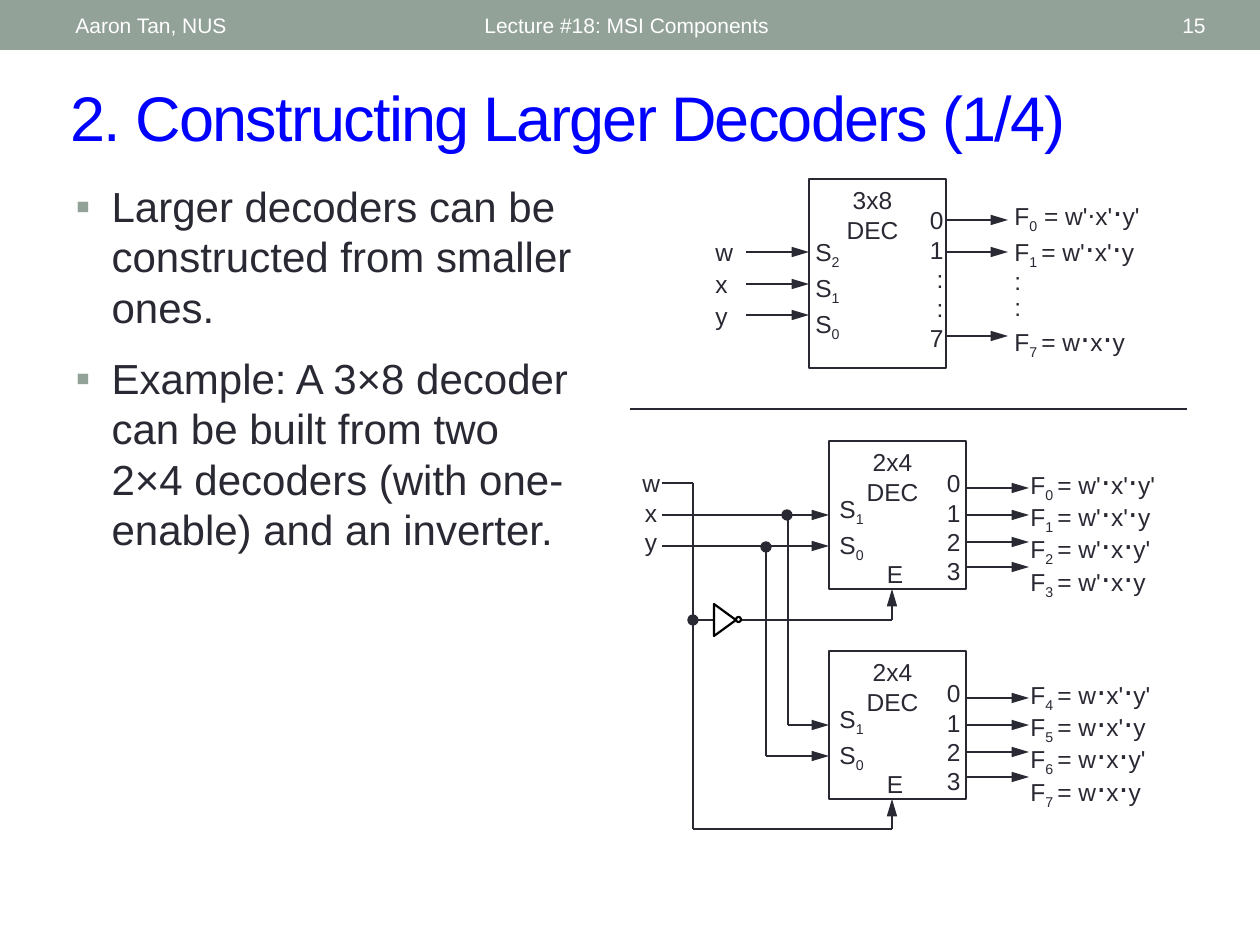
import itertools

import pptx
import pptx.dml.color
import pptx.enum.shapes
import pptx.enum.text
import pptx.oxml
import pptx.oxml.ns
import pptx.util

SCALE = 914400 / 126  # EMU in one px
COLORS = {"ink": "292934", "sage": "93A299", "title": "0000FF", "white": "FFFFFF", "black": "000000"}
NS = pptx.oxml.ns.nsdecls("a")
SHAPE = pptx.enum.shapes.MSO_SHAPE
ALIGN = pptx.enum.text.PP_ALIGN
ANCHOR = pptx.enum.text.MSO_ANCHOR
Pt = pptx.util.Pt


def px(*lengths):
    return [pptx.util.Emu(round(n * SCALE)) for n in lengths]


def rgb(name):
    return pptx.dml.color.RGBColor.from_string(COLORS[name])


def assign(obj, values):
    for name, value in values.items():
        setattr(obj, name, value)


def xml(tag, attrs="", inner=""):
    return pptx.oxml.parse_xml(f"<a:{tag} {NS} {attrs}>{inner}</a:{tag}>")


class Board:
    """Current slide with the drawing style of the lecture."""

    font = "Arial"
    label_size, dot_size, wire_width = 14, 18, 1.25

    def __init__(self, slide):
        self.s = slide

    def run(self, p, text, size, color, **rpr):
        r = p.add_run()
        r.text = text
        assign(r.font, {"name": self.font, "size": Pt(size)})
        r.font.color.rgb = rgb(color)
        for name, value in rpr.items():
            r._r.get_or_add_rPr().set(name, value)

    def rich(self, p, text, size, color):
        """Text between underscores is subscript; * is a large product dot."""
        for i, part in enumerate(text.split("_")):
            if i % 2:
                self.run(p, part, size, color, baseline="-25000")
                continue
            for j, piece in enumerate(part.split("*")):
                if j:
                    self.run(p, "⋅", self.dot_size, color)
                if piece:
                    self.run(p, piece, size, color)

    def text(self, box, lines, size=label_size, color="ink", anchor=ANCHOR.TOP, **para):
        tf = self.s.shapes.add_textbox(*px(*box)).text_frame
        assign(tf, {"word_wrap": True, "vertical_anchor": anchor})
        for i, line in enumerate(lines):
            p = tf.paragraphs[0] if i == 0 else tf.add_paragraph()
            assign(p, para)
            self.rich(p, line, size, color)

    def title(self, box, text):
        sp = self.s.shapes.title
        assign(sp, dict(zip(("left", "top", "width", "height"), px(*box))))
        assign(sp.text_frame, {"vertical_anchor": ANCHOR.MIDDLE, "word_wrap": True,
                               "auto_size": pptx.enum.text.MSO_AUTO_SIZE.NONE})
        p = sp.text_frame.paragraphs[0]
        p.alignment = ALIGN.LEFT
        self.run(p, text, 36, "title", spc="-100")

    def bullets(self, box, items):
        """Fill the body placeholder; items are (text, points before)."""
        sp = self.s.placeholders[1]
        assign(sp, dict(zip(("left", "top", "width", "height"), px(*box))))
        tf = sp.text_frame
        tf.auto_size = pptx.enum.text.MSO_AUTO_SIZE.NONE
        for i, (text, before) in enumerate(items):
            p = tf.paragraphs[0] if i == 0 else tf.add_paragraph()
            p.space_before = Pt(before)
            self.run(p, text, 24, "ink")
            indent = px(36)[0]
            ppr = p._p.get_or_add_pPr()
            ppr.set("marL", str(indent))
            ppr.set("indent", str(-indent))
            ppr.append(xml("buClr", inner=f'<a:srgbClr val="{COLORS["sage"]}"/>'))
            ppr.append(xml("buFont", f'typeface="{self.font}"'))
            ppr.append(xml("buChar", 'char="▪"'))

    def shape(self, kind, box, fill=None, line="ink", width=wire_width, rotation=0):
        sp = self.s.shapes.add_shape(kind, *px(*box))
        sp.shadow.inherit = False
        sp.rotation = rotation
        if fill:
            sp.fill.solid()
            sp.fill.fore_color.rgb = rgb(fill)
        else:
            sp.fill.background()
        if line:
            sp.line.color.rgb = rgb(line)
            sp.line.width = Pt(width)
        else:
            sp.line.fill.background()
        return sp

    def wire(self, x1, y1, x2, y2, arrow=False, width=wire_width, begin=None, end=None):
        """Straight line; begin and end are (shape, side) to join."""
        c = self.s.shapes.add_connector(pptx.enum.shapes.MSO_CONNECTOR.STRAIGHT, *px(x1, y1, x2, y2))
        c.line.color.rgb = rgb("ink")
        c.line.width = Pt(width)
        if arrow:
            c.line._get_or_add_ln().append(xml("tailEnd", 'type="triangle" w="med" len="lg"'))
        c._element.spPr.append(xml("effectLst"))
        if begin:
            c.begin_connect(*begin)
        if end:
            c.end_connect(*end)

    def dot(self, x, y):
        self.shape(SHAPE.OVAL, (x - 5, y - 5, 10, 10), "ink", width=0.75)

    def decoder(self, x, y, height, name):
        sp = self.shape(SHAPE.RECTANGLE, (x, y, 137, height), width=1.5)
        self.text((x + 11, y, 105, 72), [name, "DEC"], alignment=ALIGN.CENTER)
        return sp

    def small_decoder(self, x, y, formulas):
        """2x4 decoder with enable; its middle is at y + 74."""
        sp = self.decoder(x, y, 148, "2x4")
        self.text((x - 2, y + 47, 59, 74), ["S_1_", "S_0_"], space_before=Pt(1.4))
        self.text((x + 91, y + 21, 53, 130), "0123", alignment=ALIGN.RIGHT)
        self.text((x + 45, y + 112, 42, 42), ["E"], alignment=ALIGN.CENTER)
        self.text((x + 189, y + 21, 158, 134), formulas, line_spacing=0.8)
        for dy in (47, 74, 101, 126):
            self.wire(x + 137, y + dy, x + 200, y + dy, True, begin=(sp, 3) if dy == 74 else None)
        return sp


def header(b):
    b.shape(SHAPE.RECTANGLE, (0, 0, 1260, 50), "sage", None)
    for left, width, text, align in ((63, 399, "Aaron Tan, NUS", ALIGN.LEFT),
                                     (472, 567, "Lecture #18: MSI Components", ALIGN.LEFT),
                                     (1098, 120, "15", ALIGN.RIGHT)):
        b.text((left, 3, width, 45), [text], 12, "white", ANCHOR.MIDDLE, alignment=align)


def large_decoder(b):
    b.decoder(809, 179, 189, "3x8")
    b.text((803, 231, 59, 106), ["S_2_", "S_1_", "S_0_"], space_before=Pt(1.4))
    b.text((703, 231, 42, 106), "wxy", space_before=Pt(1.4))
    b.text((903, 199, 53, 159), "01::7", alignment=ALIGN.RIGHT)
    b.text((1002, 190, 179, 168),
           ["F_0_ = w'⋅x'*y'", "F_1 _= w'*x'*y", ":", ":", "F_7 _= w*x*y"], line_spacing=0.9)
    for y in (252, 284, 315):
        b.wire(746, y, 809, y, True)
    for y in (220, 252, 336):
        b.wire(946, y, 1008, y, True)


def decoder_pair(b):
    terms = itertools.product(("w'", "w"), ("x'", "x"), ("y'", "y"))
    formulas = [f"F_{i} _= {'*'.join(t)}" for i, t in enumerate(terms)]
    upper = b.small_decoder(829, 441, formulas[:4])
    lower = b.small_decoder(829, 651, formulas[4:])
    b.text((630, 462, 42, 101), "wxy", alignment=ALIGN.CENTER)

    w_x, x_x, y_x, enable_x = 693, 788, 766, 892
    b.wire(662, 515, 829, 515, True, end=(upper, 1))
    b.wire(x_x, 725, 829, 725, True, end=(lower, 1))
    b.wire(662, 546, 829, 546, True)
    b.wire(y_x, 756, 829, 756, True)
    for segment in ((x_x, 515, x_x, 725), (y_x, 546, y_x, 756),
                    (662, 483, w_x, 483), (w_x, 483, w_x, 829),
                    (w_x, 620, 714, 620), (741, 620, enable_x, 620),
                    (w_x, 829, enable_x, 829)):
        b.wire(*segment)
    b.wire(enable_x, 620, enable_x, 589, True)
    b.wire(enable_x, 829, enable_x, 799, True)

    b.shape(SHAPE.FLOWCHART_MERGE, (709, 609, 32, 22), line="black", rotation=270)
    b.shape(SHAPE.OVAL, (736, 617, 5, 5), line="black")
    for x, y in ((w_x, 620), (y_x, 547), (x_x - 1, 515)):
        b.dot(x, y)


def main():
    prs = pptx.Presentation()
    prs.slide_width, prs.slide_height = px(1260, 945)
    b = Board(prs.slides.add_slide(prs.slide_layouts[1]))
    header(b)
    b.title((58, 72, 1160, 88), "2. Constructing Larger Decoders (1/4)")
    b.bullets((63, 174, 525, 698), [
        ("Larger decoders can be constructed from smaller ones.", 4.8),
        ("Example: A 3×8 decoder can be built from two 2×4 decoders (with one-enable) and an inverter.", 12)])
    large_decoder(b)
    b.wire(630, 409, 1187, 409, width=0.75)
    decoder_pair(b)
    prs.save("out.pptx")


if __name__ == "__main__":
    main()
